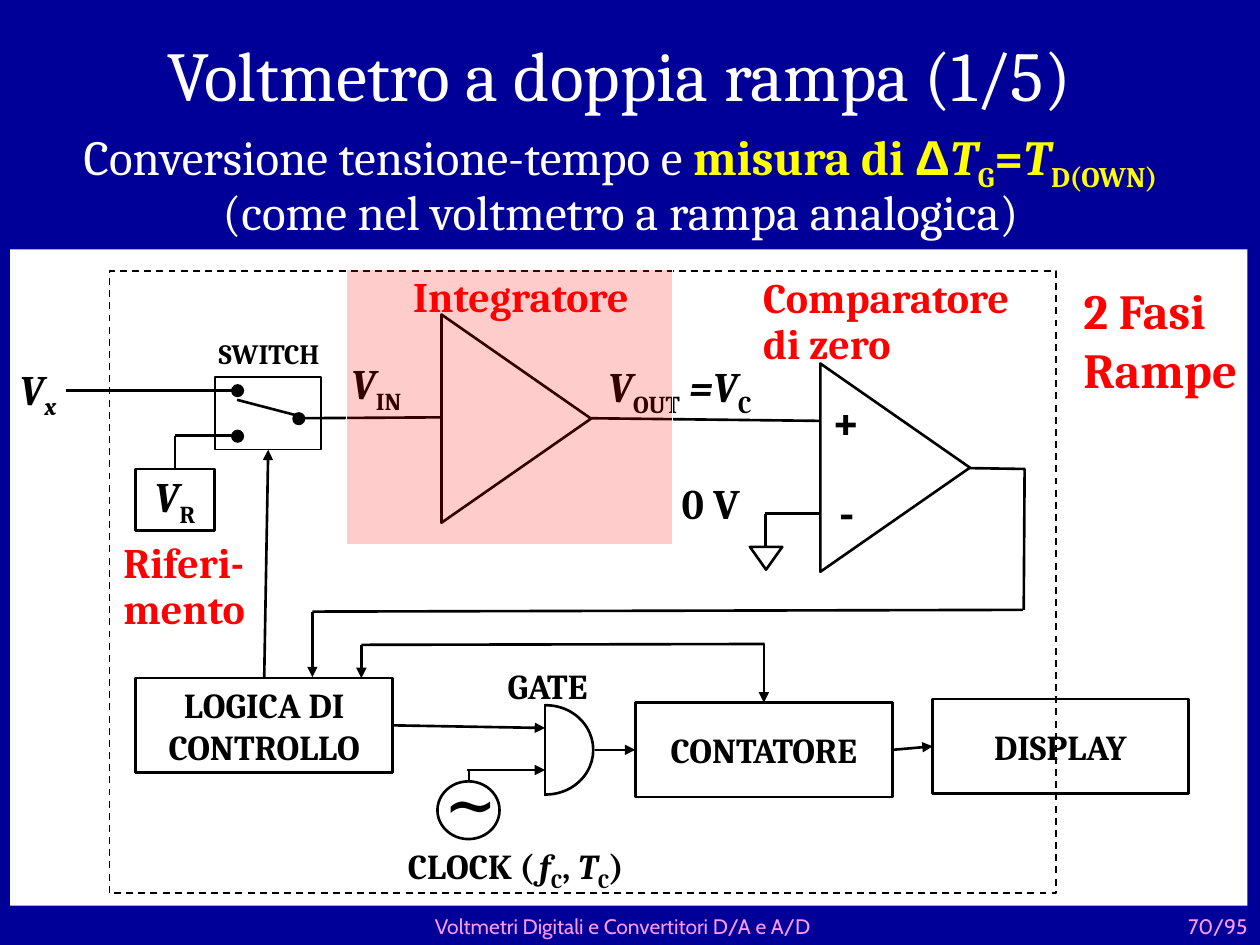
from dataclasses import dataclass
from lxml.etree import SubElement
from pptx import Presentation
from pptx.dml.color import RGBColor
from pptx.enum.dml import MSO_LINE
from pptx.enum.shapes import MSO_CONNECTOR, MSO_SHAPE
from pptx.enum.text import MSO_ANCHOR, MSO_AUTO_SIZE, PP_ALIGN
from pptx.oxml.ns import qn
from pptx.util import Pt


@dataclass(frozen=True)
class Theme:
    navy: str = "000099"
    white: str = "FFFFFF"
    black: str = "000000"
    red: str = "FF0000"
    yellow: str = "FFFF00"
    pink: str = "FF99FF"
    serif: str = "Cambria"
    sans: str = "Arial"
    foot: str = "Cabin"
    title: int = 40
    wave: int = 36
    lead: int = 28
    label: int = 24
    block: int = 20
    small: int = 16
    space: int = 14
    note: int = 12


look = Theme()
LEFT, MID, RIGHT = PP_ALIGN.LEFT, PP_ALIGN.CENTER, PP_ALIGN.RIGHT
TOP, CENTER, BOTTOM = MSO_ANCHOR.TOP, MSO_ANCHOR.MIDDLE, MSO_ANCHOR.BOTTOM


def write(para, text, align=LEFT, gap=None, **base):
    """Fill a paragraph from a string, or from (string, format) runs."""
    para.alignment = align
    if gap:
        para.line_spacing = gap
    for part, own in [(text, {})] if isinstance(text, str) else text:
        form = dict(size=look.label, color=look.black, face=look.serif, bold=True) | base | own
        for num, line in enumerate(part.split("\n")):
            if num:
                para.add_line_break()
            run = para.add_run()
            run.text = line
            font = run.font
            font.size, font.name = Pt(form["size"]), form["face"]
            font.bold, font.italic = form["bold"], form.get("italic", False)
            font.color.rgb = RGBColor.from_string(form["color"])
            if form.get("sub"):
                run._r.get_or_add_rPr().set("baseline", "-25000")


def draw(kind, x, y, w, h, fill=None, line=look.black, width=1.5):
    """Add a preset shape; no fill or line where the colour is None."""
    shape = slide.shapes.add_shape(kind, Pt(x), Pt(y), Pt(w), Pt(h))
    shape.shadow.inherit = False
    for part, color in ((shape.fill, fill), (shape.line.fill, line)):
        if color:
            part.solid()
            part.fore_color.rgb = RGBColor.from_string(color)
        else:
            part.background()
    if line:
        shape.line.width = Pt(width)
    return shape


deck = Presentation()
deck.slide_width, deck.slide_height = Pt(720), Pt(540)
slide = deck.slides.add_slide(deck.slide_layouts[5])
slide.background.fill.solid()
slide.background.fill.fore_color.rgb = RGBColor.from_string(look.navy)

# Title
title = slide.shapes.title
title.left, title.top, title.width, title.height = Pt(36.5), Pt(0), Pt(634.5), Pt(83.5)
title.text_frame.vertical_anchor = CENTER
title.text_frame.auto_size = MSO_AUTO_SIZE.NONE
write(title.text_frame.paragraphs[0], "Voltmetro a doppia rampa (1/5)", MID,
      size=look.title, color=look.white, bold=False)

# White panel, AND gate and clock
rect, oval = MSO_SHAPE.RECTANGLE, MSO_SHAPE.OVAL
draw(rect, 5.75, 142.5, 707, 375, look.white, None)
draw(oval, 285, 403, 54, 51)
draw(rect, 269.5, 395.5, 41.5, 61, look.white, look.white, 0.75)
draw(oval, 250, 446.5, 35.5, 33)

# Amplifiers and ground
for x, y in ((235.5, 196.5), (452, 224.5)):
    draw(MSO_SHAPE.ISOSCELES_TRIANGLE, x, y, 119, 85.5).rotation = 90
draw(MSO_SHAPE.FLOWCHART_MERGE, 428.5, 312.5, 18.5, 13)

# Switch and dashed frame
switch = draw(rect, 123, 215.5, 60.5, 41.5, width=1)
for x, y in ((167, 235.5), (132, 219.5), (132, 245.5)):
    draw(oval, x, y, 7.5, 7.5, look.black, None)
draw(rect, 62.5, 155, 541, 355.5, width=1).line.dash_style = MSO_LINE.DASH

# Blocks with their names
it, sub = dict(italic=True), dict(sub=True)
blocks = {}
for key, text, x, y, w, h, size in (
    ("logic", "LOGICA DI CONTROLLO", 77.5, 387.5, 147, 54, look.block),
    ("count", "CONTATORE", 363, 401.5, 147, 54, look.block),
    ("show", "DISPLAY", 533, 399.5, 146, 54, look.block),
    ("ref", [("V", it), ("R", sub)], 77.5, 268, 45, 35, look.label),
):
    block = blocks[key] = draw(rect, x, y, w, h)
    frame = block.text_frame
    frame.word_wrap, frame.vertical_anchor = True, CENTER
    frame.margin_left = frame.margin_right = frame.margin_top = frame.margin_bottom = 0
    write(frame.paragraphs[0], text, MID, size=size)
logic, count, show, ref = blocks.values()

# Wires: ends, arrow end, joined shape and site at each end
for x1, y1, x2, y2, tip, start, end in (
    (311.5, 402.5, 311.5, 455, None, None, None),
    (267, 440, 311.5, 440, "tail", None, None),
    (268, 446.5, 268, 439.5, None, None, None),
    (224.5, 414.5, 311.5, 416, "tail", (logic, 3), None),
    (340, 428.5, 363, 428.5, "tail", None, (count, 1)),
    (510, 428.5, 533, 426.5, "tail", (count, 3), (show, 1)),
    (468, 240.5, 337.5, 239, None, None, None),
    (252, 238.5, 170, 239, None, None, None),
    (468.5, 293.5, 437, 293.5, None, None, None),
    (437.5, 293.5, 437.5, 312.5, None, None, None),
    (170, 237.5, 135.5, 228.5, None, None, None),
    (134.5, 223, 37.5, 223, None, None, None),
    (134.5, 249, 100, 249, None, None, None),
    (100, 249, 100, 268, None, None, (ref, 0)),
    (153, 257, 151, 387.5, "head", (switch, 2), (logic, 0)),
    (586, 268, 553.5, 267.5, None, None, None),
    (585.5, 268, 585, 348.5, None, None, None),
    (584.5, 348.5, 178.5, 349.5, None, None, None),
    (178.5, 349.5, 178.5, 387, "tail", None, None),
    (437, 368, 206.5, 368.5, None, None, None),
    (206.5, 368.5, 206.5, 387.5, "tail", None, None),
    (436.5, 368, 436.5, 401.5, "tail", None, (count, 0)),
):
    wire = slide.shapes.add_connector(MSO_CONNECTOR.STRAIGHT, Pt(x1), Pt(y1), Pt(x2), Pt(y2))
    wire.line.width = Pt(1.5)
    wire.line.color.rgb = RGBColor.from_string(look.black)
    if tip:
        SubElement(wire.line._get_or_add_ln(), qn(f"a:{tip}End"), type="triangle")
    SubElement(wire._element.spPr, qn("a:effectLst"))
    if start:
        wire.begin_connect(*start)
    if end:
        wire.end_connect(*end)

# Labels
red = dict(color=look.red)
foot = dict(size=look.note, color=look.pink, face=look.foot, bold=False)
lead = dict(size=look.lead, color=look.white, bold=False)
key = dict(color=look.yellow, bold=True)
for text, x, y, w, h, anchor, form in (
    ([("Conversione tensione-tempo e ", {}), ("misura di ", key),
      ("Δ", key | dict(face=look.sans)), ("T", key | it), ("G", key | sub),
      ("=", key), ("T", key | it), ("D(OWN)", key | sub)],
     -4.5, 68.5, 718, 68.5, TOP, lead | dict(align=MID)),
    ("2 Fasi\nRampe", 612, 157, 111, 75, TOP, red | dict(size=look.lead)),
    ("∼", 247, 433.5, 36, 51, TOP, it | dict(size=look.wave)),
    ([("CLOCK (", {}), (" ", dict(size=look.space)), ("f", it), ("C", sub),
      (", ", {}), ("T", it), ("C", sub), (")", {})],
     226, 479, 170, 31.5, TOP, dict(size=look.block)),
    ("GATE", 283, 376, 74, 31.5, TOP, dict(size=look.block)),
    ([("V", it), ("OUT", sub), (" =V", it), ("C", sub)], 340.5, 202.5, 133, 36, TOP, {}),
    ([("V", it), ("IN", sub)], 193.5, 201, 59, 36, TOP, {}),
    ("+", 468, 219.5, 31, 41, TOP, dict(size=look.lead)),
    ("-", 472.5, 271.5, 30, 41, TOP, dict(size=look.lead)),
    ("0 V", 382.5, 269.5, 55, 36, TOP, {}),
    ("SWITCH", 104.5, 188.5, 98.5, 26.5, TOP, dict(size=look.small, align=MID)),
    ([("V", it), ("x", it | sub)], -4.5, 204, 52.5, 36, TOP, dict(align=MID)),
    ("Integratore", 229, 151, 166, 36, TOP, red),
    ("Comparatore\ndi zero", 429, 155, 186, 60, TOP, red | dict(gap=0.9)),
    ("Riferi-\nmento", 63.5, 306.5, 166, 60, TOP, red | dict(gap=0.9)),
    ("Voltmetri Digitali e Convertitori D/A e A/D", 100, 524, 512, 16, BOTTOM,
     foot | dict(align=MID)),
    ("70/95", 654.5, 525, 65.5, 15, BOTTOM, foot | dict(align=RIGHT)),
):
    frame = slide.shapes.add_textbox(Pt(x), Pt(y), Pt(w), Pt(h)).text_frame
    frame.word_wrap, frame.vertical_anchor = True, anchor
    write(frame.paragraphs[0], text, **form)
    if form.get("size") == look.lead and form.get("align") == MID:
        write(frame.add_paragraph(), "(come nel voltmetro a rampa analogica)", MID, 0.8, **lead)

# Translucent highlight over the integrator
glow = draw(rect, 198, 154, 186.5, 157.5, look.red, look.white, 0.75)
tint = glow.fill._xPr.find(qn("a:solidFill"))[0]
SubElement(tint, qn("a:alpha"), val="20000")

deck.save("out.pptx")
